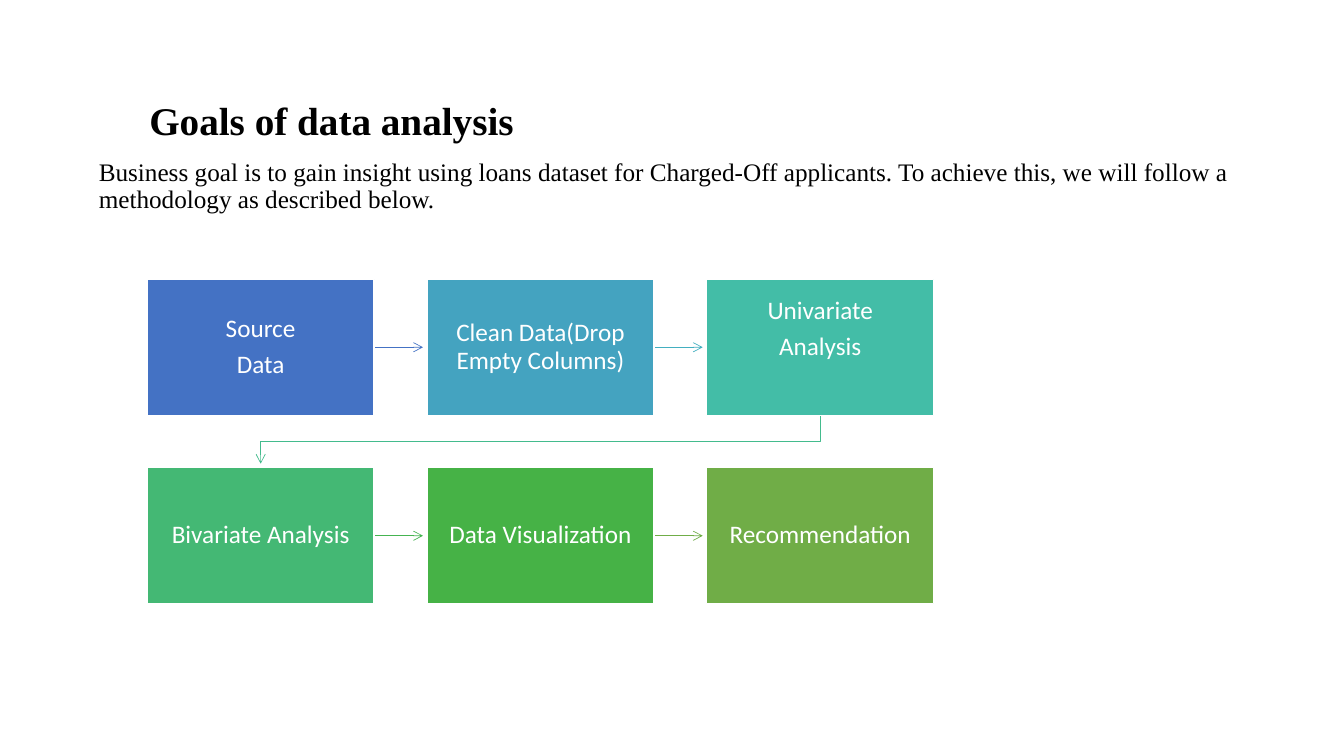
from dataclasses import dataclass

from lxml import etree
from pptx import Presentation
from pptx.dml.color import RGBColor
from pptx.enum.shapes import MSO_CONNECTOR, MSO_SHAPE
from pptx.enum.text import MSO_ANCHOR, MSO_AUTO_SIZE, PP_ALIGN
from pptx.oxml.ns import qn
from pptx.util import Inches, Pt

SERIF = "Times New Roman"
COLS = 3
LEFT, TOP = 1.46, 2.77
WIDE, HIGH = 2.25, 1.35
STEP_X, STEP_Y = 2.775, 1.87
GAP = 0.04  # space between an arrow tip and its box


@dataclass
class Step:
    text: str
    fill: str
    line: str = ""  # colour of the arrow to the next step
    foot: float = 0.14


STEPS = [
    Step("Source\nData", "4472C4", "4472C4"),
    Step("Clean Data(Drop Empty Columns)", "44A3C0", "43AFC0"),
    Step("Univariate\nAnalysis", "43BDA7", "43BB8D", foot=0.5),
    Step("Bivariate Analysis", "44B874", "45B451"),
    Step("Data Visualization", "46B246", "70AD47"),
    Step("Recommendation", "70AD47"),
]


def rgb(code: str) -> RGBColor:
    return RGBColor.from_string(code)


def style(par, face: str, size: int, color: str, align, bold: bool = False) -> None:
    par.font.name, par.font.size, par.font.bold = face, Pt(size), bold
    par.font.color.rgb = rgb(color)
    par.alignment = align
    par.line_spacing = 0.9


def place(shape, left: float, top: float, width: float, height: float) -> None:
    shape.left, shape.top = Inches(left), Inches(top)
    shape.width, shape.height = Inches(width), Inches(height)


def spot(index: int) -> tuple[float, float]:
    row, col = divmod(index, COLS)
    return LEFT + col * STEP_X, TOP + row * STEP_Y


def draw_box(slide, step: Step, index: int) -> None:
    left, top = spot(index)
    box = slide.shapes.add_shape(
        MSO_SHAPE.RECTANGLE, Inches(left), Inches(top), Inches(WIDE), Inches(HIGH))
    box.shadow.inherit = False
    box.fill.solid()
    box.fill.fore_color.rgb = rgb(step.fill)
    box.line.color.rgb = rgb("FFFFFF")
    box.line.width = Pt(1)
    frame = box.text_frame
    frame.word_wrap = True
    frame.vertical_anchor = MSO_ANCHOR.MIDDLE
    frame.margin_left = frame.margin_right = frame.margin_top = Inches(0.14)
    frame.margin_bottom = Inches(step.foot)
    frame.text = step.text
    for par in frame.paragraphs:
        style(par, "Calibri", 18, "FFFFFF", PP_ALIGN.CENTER)
        par.space_after = Pt(6.3)


def finish(arrow, color: str) -> None:
    arrow.line.color.rgb = rgb(color)
    arrow.line.width = Pt(0.5)
    line = arrow.line._get_or_add_ln()
    etree.SubElement(line, qn("a:tailEnd"), type="arrow")


def draw_link(slide, step: Step, index: int) -> None:
    left, top = spot(index)
    if (index + 1) % COLS:
        # Straight arrow to the right
        mid = Inches(top + HIGH / 2)
        link = slide.shapes.add_connector(
            MSO_CONNECTOR.STRAIGHT, Inches(left + WIDE), mid,
            Inches(left + STEP_X - GAP), mid)
        finish(link, step.line)
        etree.SubElement(link._element.spPr, qn("a:effectLst"))
        return
    # Bent arrow down to the next row
    start, end = left + WIDE / 2, LEFT + WIDE / 2
    base = top + HIGH
    turn, tip = base + 0.26, top + STEP_Y - GAP
    path = slide.shapes.build_freeform(Inches(start), Inches(base))
    path.add_line_segments(
        [(Inches(x), Inches(y)) for x, y in ((start, turn), (end, turn), (end, tip))],
        close=False)
    link = path.convert_to_shape()
    link.shadow.inherit = False
    link.fill.background()
    finish(link, step.line)


deck = Presentation()
deck.slide_width, deck.slide_height = Inches(13.33), Inches(7.5)
slide = deck.slides.add_slide(deck.slide_layouts[1])

# Title
title = slide.shapes.title
place(title, 1.24, 0.75, 10.19, 0.94)
title.text_frame.text = "Goals of data analysis"
title.text_frame.auto_size = MSO_AUTO_SIZE.NONE
title.text_frame.vertical_anchor = MSO_ANCHOR.MIDDLE
title.text_frame.margin_left = Inches(0.24)
style(title.text_frame.paragraphs[0], SERIF, 28, "000000", PP_ALIGN.LEFT, bold=True)

# Body
body = slide.placeholders[1]
place(body, 0.88, 1.53, 11.62, 5.55)
body.text_frame.text = (
    "Business goal is to gain insight using loans dataset for Charged-Off applicants. "
    "To achieve this, we will follow a methodology as described below.")
body.text_frame.auto_size = MSO_AUTO_SIZE.NONE
par = body.text_frame.paragraphs[0]
style(par, SERIF, 18, "000000", PP_ALIGN.LEFT)
par.space_before = Pt(10)
props = par._p.get_or_add_pPr()
props.set("marL", "0")
props.set("indent", "0")
etree.SubElement(props, qn("a:buNone"))
# Bullet marks must come before the default run properties
for tail in props.findall(qn("a:defRPr")):
    props.append(tail)

# Process steps and arrows
for index, step in enumerate(STEPS):
    if step.line:
        draw_link(slide, step, index)
    draw_box(slide, step, index)

deck.save("out.pptx")
